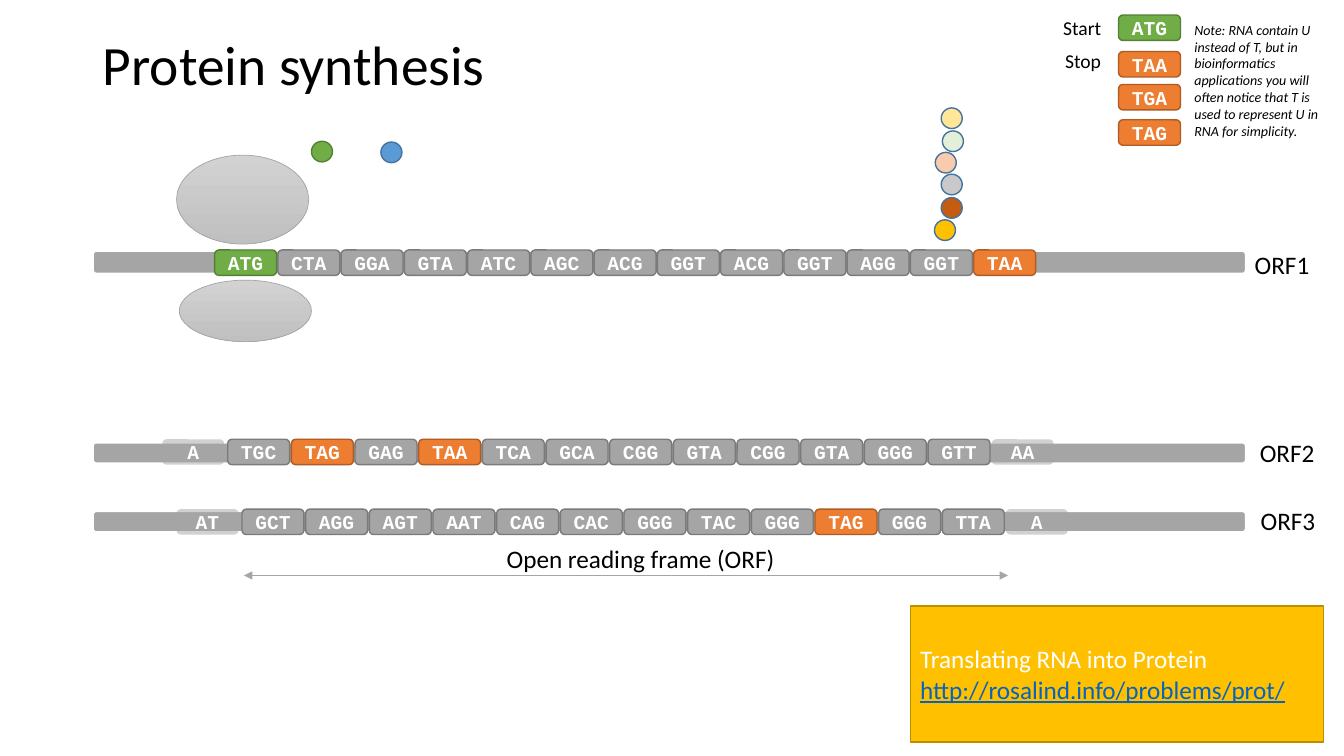
import lxml.etree
import pptx
import pptx.dml.color
import pptx.enum.shapes
import pptx.enum.text
import pptx.oxml.ns
import pptx.util

KIND = pptx.enum.shapes.MSO_SHAPE
ALIGN = pptx.enum.text.PP_ALIGN
MIDDLE = pptx.enum.text.MSO_ANCHOR.MIDDLE
GROW = pptx.enum.text.MSO_AUTO_SIZE.SHAPE_TO_FIT_TEXT

HUES = {
    "black": "000000", "white": "FFFFFF", "gray": "A5A5A5", "edge": "7A7A7A",
    "green": "70AD47", "moss": "538035", "orange": "ED7D31", "rust": "AF5C24",
    "blue": "5B9BD5", "navy": "43739E", "link": "0563C1",
    "cream": "FFE699", "mint": "E2F0D9", "peach": "F8CBAD",
    "silver": "C9C9C9", "brown": "C55A11", "gold": "FFC000", "amber": "BD8E00",
    "light": "D2D2D2", "dark": "C0C0C0",
}
STARTS = {"ATG"}
STOPS = {"TAA", "TGA", "TAG"}
SIZE = (1.56, 0.64)  # codon width and height, cm

# Frame: name, label left and top, bar top and height, codon top,
# first and last codon left, codons, loose bases as (left, text)
FRAMES = [
    ("ORF1", 31.37, 6.17, 6.32, 0.58, 6.3, 5.41, 24.54,
     "ATG CTA GGA GTA ATC AGC ACG GGT ACG GGT AGG GGT TAA", []),
    ("ORF2", 31.5, 10.9, 11.15, 0.53, 11.07, 5.74, 23.39,
     "TGC TAG GAG TAA TCA GCA CGG GTA CGG GTA GGG GTT",
     [(4.09, "A"), (24.99, "AA")]),
    ("ORF3", 31.52, 12.62, 12.88, 0.53, 12.83, 6.1, 23.75,
     "GCT AGG AGT AAT CAG CAC GGG TAC GGG TAG GGG TTA",
     [(4.45, "AT"), (25.35, "A")]),
]
BEADS = [
    (7.85, 3.56, "green", "moss"), (9.6, 3.58, "blue", "navy"),
    (23.72, 2.72, "cream", "navy"), (23.75, 3.3, "mint", "navy"),
    (23.57, 3.84, "peach", "navy"), (23.72, 4.39, "silver", "navy"),
    (23.72, 4.98, "brown", "navy"), (23.55, 5.54, "gold", "navy"),
]
LEGEND = [("ATG", 0.38), ("TAA", 1.3), ("TGA", 2.13), ("TAG", 3.02)]
NOTE = ("Note: RNA contain U instead of T, but in bioinformatics applications "
        "you will often notice that T is used to represent U in RNA for simplicity.")


def rgb(hue):
    return pptx.dml.color.RGBColor.from_string(HUES[hue])


def cms(*nums):
    return [pptx.util.Cm(num) for num in nums]


def put(item, vals):
    for name, val in vals.items():
        setattr(item, name, val)


def write(para, text, size, hue="black", **vals):
    run = para.add_run()
    run.text = text
    put(run.font, {"name": "Calibri", "size": pptx.util.Pt(size), **vals})
    run.font.color.rgb = rgb(hue)


def shape(slide, kind, area, fill, line=None, width=1):
    item = slide.shapes.add_shape(kind, *cms(*area))
    item.shadow.inherit = False
    item.fill.solid()
    item.fill.fore_color.rgb = rgb(fill)
    if line:
        item.line.color.rgb = rgb(line)
        item.line.width = pptx.util.Pt(width)
    else:
        item.line.fill.background()
    return item


def codon(slide, left, top, text, loose=False):
    fill, line = "gray", "edge"
    if text in STARTS:
        fill, line = "green", "moss"
    elif text in STOPS:
        fill, line = "orange", "rust"
    item = shape(slide, KIND.ROUNDED_RECTANGLE, (left, top, *SIZE),
                 fill, None if loose else line)
    if loose:
        tint = item.fill._xPr.find(".//" + pptx.oxml.ns.qn("a:srgbClr"))
        lxml.etree.SubElement(tint, pptx.oxml.ns.qn("a:alpha"), val="50000")
    frame = item.text_frame
    put(frame, {"margin_left": 0, "margin_right": 0, "margin_top": 0,
                "margin_bottom": 0, "vertical_anchor": MIDDLE})
    para = frame.paragraphs[0]
    para.alignment = ALIGN.CENTER
    write(para, text, 14, "white", name="Courier New", bold=True)


def label(slide, area, text, size, wrap=False, **vals):
    frame = slide.shapes.add_textbox(*cms(*area)).text_frame
    put(frame, {"word_wrap": wrap, "auto_size": GROW})
    write(frame.paragraphs[0], text, size, **vals)


def frame_row(slide, name, left, top, bar, tall, row, first, last, bases, loose):
    shape(slide, KIND.ROUNDED_RECTANGLE, (2.34, bar, 29.06, tall),
          "gray", "white", 1.5)
    names = bases.split()
    step = (last - first) / (len(names) - 1)
    for num, text in enumerate(names):
        codon(slide, first + num * step, row, text)
    for side, text in loose:
        codon(slide, side, row, text, loose=True)
    label(slide, (left, top, 1.9, 1.02), name, 18)


def lobe(slide, area):
    item = shape(slide, KIND.OVAL, area, "light", "gray", 0.5)
    item.fill.gradient()
    item.fill.gradient_angle = 270
    for stop, hue in zip(item.fill.gradient_stops, ("light", "dark")):
        stop.color.rgb = rgb(hue)


def arrow(slide, *ends):
    item = slide.shapes.add_connector(
        pptx.enum.shapes.MSO_CONNECTOR.STRAIGHT, *cms(*ends))
    item.line.color.rgb = rgb("gray")
    item.line.width = pptx.util.Pt(0.5)
    for tag in ("a:headEnd", "a:tailEnd"):
        lxml.etree.SubElement(item.line._ln, pptx.oxml.ns.qn(tag), type="triangle")
    lxml.etree.SubElement(item._element.spPr, pptx.oxml.ns.qn("a:effectLst"))


def title(slide, text):
    item = slide.shapes.title
    put(item, dict(zip(("left", "top", "width", "height"),
                       cms(2.34, 1.02, 29.21, 1.37))))
    item.text_frame.vertical_anchor = MIDDLE
    para = item.text_frame.paragraphs[0]
    put(para, {"alignment": ALIGN.LEFT, "line_spacing": 0.9})
    write(para, text, 39.6)


def task(slide):
    item = shape(slide, KIND.RECTANGLE, (22.94, 15.27, 10.41, 3.43), "gold", "amber")
    frame = item.text_frame
    frame.vertical_anchor = MIDDLE
    head, link = frame.paragraphs[0], frame.add_paragraph()
    head.alignment = link.alignment = ALIGN.LEFT
    write(head, "Translating RNA into Protein", 18, "white")
    write(link, "http://rosalind.info/problems/prot/", 18, "link", underline=True)


def main():
    deck = pptx.Presentation()
    deck.slide_width, deck.slide_height = cms(33.87, 19.05)
    slide = deck.slides.add_slide(deck.slide_layouts[5])
    title(slide, "Protein synthesis")

    # Reading frames
    for row in FRAMES:
        frame_row(slide, *row)
    arrow(slide, 6.15, 14.5, 25.4, 14.5)
    label(slide, (12.52, 13.56, 7.34, 1.02), "Open reading frame (ORF)", 18)

    # Ribosome and amino acids
    lobe(slide, (4.52, 7.06, 3.33, 1.55))
    lobe(slide, (4.45, 3.91, 3.33, 2.24))
    for left, top, fill, line in BEADS:
        shape(slide, KIND.OVAL, (left, top, 0.53, 0.52), fill, line)

    # Legend and note
    for text, top in LEGEND:
        codon(slide, 28.19, top, text)
    label(slide, (26.54, 0.28, 1.5, 0.86), "Start", 14)
    label(slide, (26.59, 1.12, 1.42, 0.86), "Stop", 14)
    label(slide, (29.85, 0.41, 3.63, 3.25), NOTE, 10, wrap=True, italic=True)

    task(slide)
    deck.save("out.pptx")


if __name__ == "__main__":
    main()
